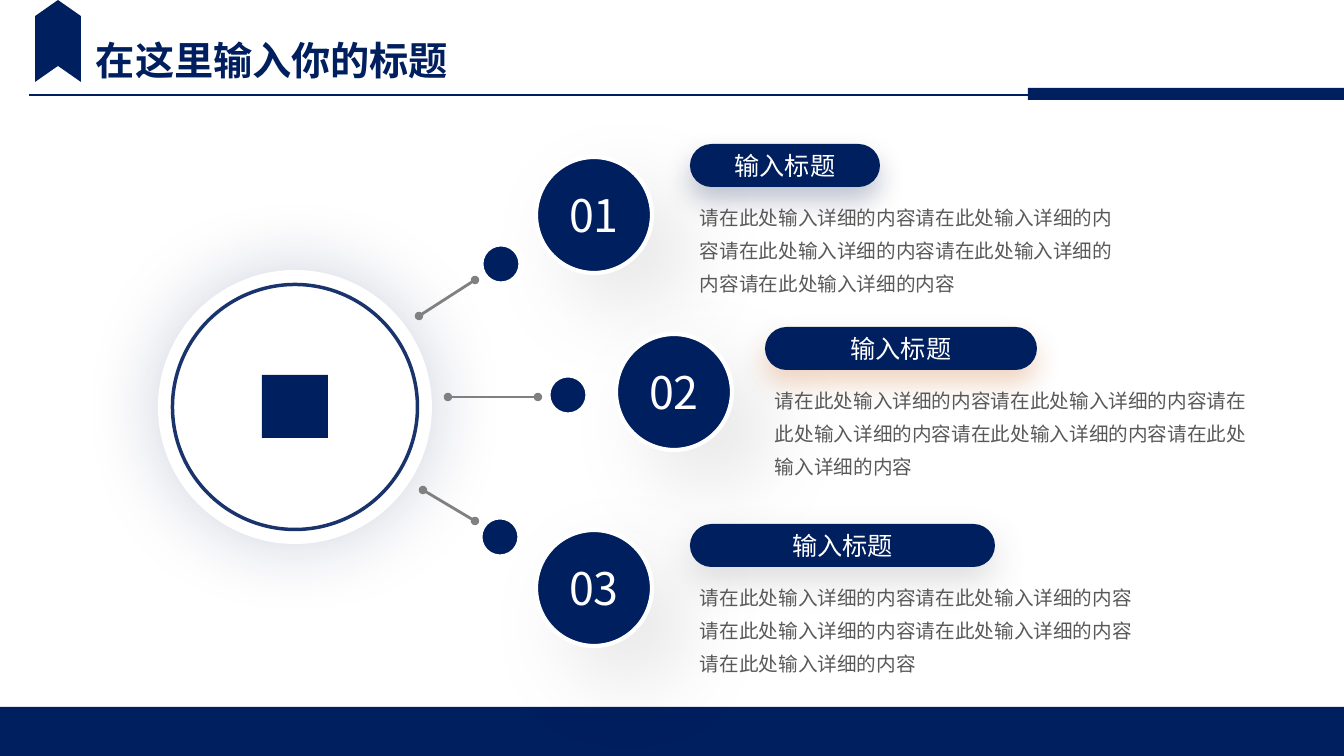
from lxml import etree
from pptx import Presentation
from pptx import util as u
from pptx.dml.color import RGBColor
from pptx.enum import shapes, text
from pptx.oxml.ns import qn

INK = {
    "navy": "001F5E",
    "white": "FFFFFF",
    "gray": "808080",
    "body": "595959",
    "black": "000000",
    "deep": "001746",
    "rust": "C55A11",
    "ash": "7C7C7C",
}
FONT = "Noto Sans CJK SC"
SCALE = 12192000 / 1344
KIND = shapes.MSO_SHAPE


def px(n):
    return u.Emu(round(n * SCALE))


def rgb(name):
    return RGBColor.from_string(INK[name])


class Board:
    def __init__(self):
        self.deck = Presentation()
        self.deck.slide_width = px(1344)
        self.deck.slide_height = px(756)
        self.slide = self.deck.slides.add_slide(self.deck.slide_layouts[6])

    def shape(self, kind, x, y, w, h, fill="navy", line=None, width=1, shade=None):
        item = self.slide.shapes.add_shape(kind, px(x), px(y), px(w), px(h))
        item.shadow.inherit = False
        if fill:
            item.fill.solid()
            item.fill.fore_color.rgb = rgb(fill)
        else:
            item.fill.background()
        if line:
            item.line.color.rgb = rgb(line)
            item.line.width = u.Pt(width)
        else:
            item.line.fill.background()
        if shade:
            self.shade(item, *shade)
        return item

    def shade(self, item, color, alpha, blur, dist, angle):
        box = item._element.spPr.find(qn("a:effectLst"))
        glow = etree.SubElement(
            box, qn("a:outerShdw"), blurRad=str(u.Pt(blur)),
            dist=str(u.Pt(dist)), dir=str(angle * 60000),
            algn="ctr", rotWithShape="0")
        tint = etree.SubElement(glow, qn("a:srgbClr"), val=INK[color])
        etree.SubElement(tint, qn("a:alpha"), val=str(alpha * 1000))

    def disc(self, x, y, size, **style):
        half = size / 2
        return self.shape(KIND.OVAL, x - half, y - half, size, size, **style)

    def words(self, item, string, size, color, bold=False):
        item.text_frame.text = string
        para = item.text_frame.paragraphs[0]
        for run in para.runs:
            run.font.size = u.Pt(size)
            run.font.bold = bold
            run.font.color.rgb = rgb(color)
            run.font.name = FONT
            etree.SubElement(run.font._element, qn("a:ea"), typeface=FONT)
        return para

    def label(self, item, string, size):
        frame = item.text_frame
        frame.margin_left = frame.margin_right = 0
        frame.margin_top = frame.margin_bottom = 0
        frame.vertical_anchor = text.MSO_ANCHOR.MIDDLE
        para = self.words(item, string, size, "white")
        para.alignment = text.PP_ALIGN.CENTER

    def note(self, x, y, w, h, string, size, color, bold=False, wrap=True):
        item = self.slide.shapes.add_textbox(px(x), px(y), px(w), px(h))
        item.text_frame.word_wrap = wrap
        return self.words(item, string, size, color, bold)

    def line(self, x1, y1, x2, y2, color, width, dots=False):
        item = self.slide.shapes.add_connector(
            shapes.MSO_CONNECTOR.STRAIGHT, px(x1), px(y1), px(x2), px(y2))
        item.line.color.rgb = rgb(color)
        item.line.width = u.Pt(width)
        if dots:
            for end in ("a:headEnd", "a:tailEnd"):
                etree.SubElement(item.line._get_or_add_ln(), qn(end), type="oval")
        etree.SubElement(item._element.spPr, qn("a:effectLst"))


def main():
    board = Board()
    board.shape(KIND.RECTANGLE, 0, 707, 1344, 49)
    board.line(29, 95, 1161, 95, "navy", 1.5)
    board.shape(KIND.RECTANGLE, 1028, 88, 316, 12)
    board.note(86, 31, 377, 57, "在这里输入你的标题", 28, "navy", True, False)
    flag = board.shape(KIND.CHEVRON, 17, 18, 82, 46)
    flag.rotation = 270
    flag.adjustments[0] = 0.35

    board.disc(295, 407, 274, fill="white", shade=("navy", 20, 55, 0, 0))

    steps = [
        ("01", (594, 215), (501, 264), (419, 316, 475, 280),
         (690, 144, 190), "deep", 20, 443),
        ("02", (674, 392), (568, 395), (448, 397, 538, 397),
         (765, 327, 272), "rust", 20, 493),
        ("03", (594, 588), (500, 537), (423, 490, 475, 521),
         (690, 524, 305), "ash", 26, 462),
    ]
    detail = "请在此处输入详细的内容" * 5
    for num, hub, dot, link, (x, y, w), tint, blur, span in steps:
        disc = board.disc(*hub, 116, line="white", width=3,
                          shade=("black", 10, 62, 34, 45))
        board.label(disc, num, 32)
        board.disc(*dot, 42, line="white", width=5)
        board.line(*link, "gray", 2, dots=True)
        pill = board.shape(KIND.ROUNDED_RECTANGLE, x, y, w, 43,
                           shade=(tint, 25, blur, 10, 90))
        pill.adjustments[0] = 0.5
        board.label(pill, "输入标题", 18)
        para = board.note(x, y + 48, span, 108, detail, 14, "body")
        para.line_spacing = 1.4

    board.shape(KIND.RECTANGLE, 262, 375, 66, 63)
    ring = board.disc(295, 407, 245, fill=None, line="navy", width=2.5)
    tint = ring.line._get_or_add_ln().find(".//" + qn("a:srgbClr"))
    etree.SubElement(tint, qn("a:alpha"), val="90000")

    board.deck.save("out.pptx")


if __name__ == "__main__":
    main()
